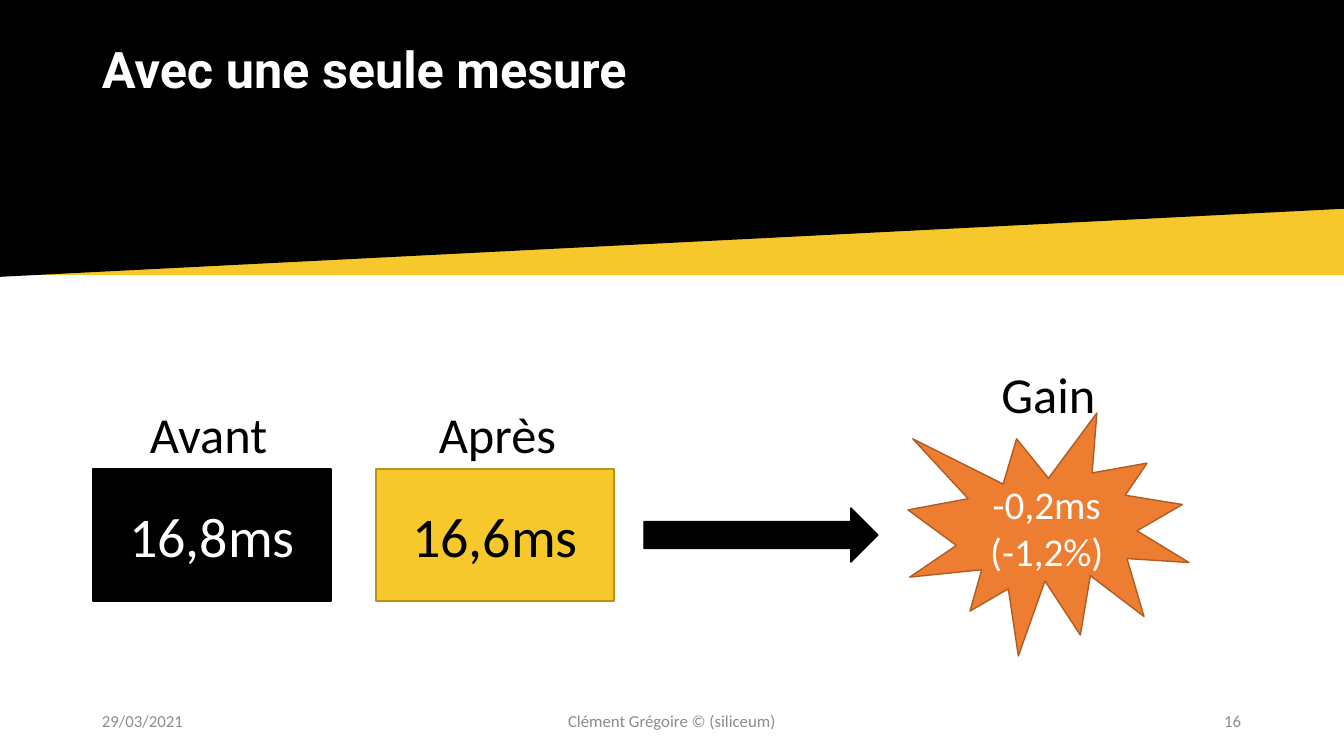
from pptx import Presentation
from pptx.dml.color import RGBColor
from pptx.enum.shapes import MSO_SHAPE
from pptx.enum.text import MSO_ANCHOR, MSO_AUTO_SIZE, PP_ALIGN
from pptx.util import Emu, Pt

RECT, ARROW, BURST = MSO_SHAPE.RECTANGLE, MSO_SHAPE.RIGHT_ARROW, MSO_SHAPE.EXPLOSION1
LEFT, CENTER, RIGHT = PP_ALIGN.LEFT, PP_ALIGN.CENTER, PP_ALIGN.RIGHT
TOP, MIDDLE = MSO_ANCHOR.TOP, MSO_ANCHOR.MIDDLE
FIT = MSO_AUTO_SIZE.SHAPE_TO_FIT_TEXT

COLORS = {
    "black": "000000",
    "white": "FFFFFF",
    "yellow": "F6C82B",
    "dark_yellow": "B79417",
    "orange": "ED7D31",
    "dark_orange": "AF5C24",
    "grey": "8C8C8C",
}
WIDTH, HEIGHT = 1344, 756
EMU_PER_PX = 12192000 / WIDTH


class Deck:
    """Holds the style and the current slide."""

    def __init__(self):
        self.prs = Presentation()
        self.prs.slide_width, self.prs.slide_height = self.px(WIDTH, HEIGHT)
        self.s = self.prs.slides.add_slide(self.prs.slide_layouts[6])

    def px(self, *lengths):
        return [Emu(round(n * EMU_PER_PX)) for n in lengths]

    def color(self, name):
        return RGBColor.from_string(COLORS[name])

    def fill_text(self, tf, text, size, color, align, anchor, font="Calibri", bold=False):
        tf.text = text
        tf.vertical_anchor = anchor
        p = tf.paragraphs[0]
        p.alignment = align
        for r in p.runs:
            r.font.name, r.font.size, r.font.bold = font, Pt(size), bold
            r.font.color.rgb = self.color(color)

    def shape(self, kind, box, fill, line=None, text="", size=40, color="white", rotation=0):
        sp = self.s.shapes.add_shape(kind, *self.px(*box))
        sp.shadow.inherit = False
        sp.rotation = rotation
        sp.fill.solid()
        sp.fill.fore_color.rgb = self.color(fill)
        if line:
            sp.line.color.rgb = self.color(line)
            sp.line.width = Pt(1)
        else:
            sp.line.fill.background()
        if text:
            sp.text_frame.word_wrap = True
            self.fill_text(sp.text_frame, text, size, color, CENTER, MIDDLE)

    def text(self, box, text, size, color, align=LEFT, anchor=MIDDLE, **style):
        tf = self.s.shapes.add_textbox(*self.px(*box)).text_frame
        tf.word_wrap = True
        self.fill_text(tf, text, size, color, align, anchor, **style)
        return tf

    def label(self, box, text):
        tf = self.text(box, text, 36, "black", CENTER, TOP)
        tf.word_wrap = False
        tf.auto_size = FIT


def main():
    deck = Deck()

    # Slanted header band and title
    deck.shape(RECT, (-33, 43, 1477, 232), "yellow")
    deck.shape(RECT, (-27, -39, 1477, 279), "black", "black", rotation=357.1)
    tf = deck.text((92, 40, 1159, 76), "Avec une seule mesure", 36, "white",
                   anchor=TOP, font="Roboto", bold=True)
    tf.paragraphs[0].line_spacing = 0.9

    # Footer
    for left, width, text, align in (
        (92, 302, "29/03/2021", LEFT),
        (445, 454, "Clément Grégoire © (siliceum)", CENTER),
        (949, 302, "16", RIGHT),
    ):
        deck.text((left, 701, width, 40), text, 12, "grey", align)

    # Before and after
    for left, fill, line, value, color in (
        (93, "black", "black", "16,8ms", "white"),
        (376, "yellow", "dark_yellow", "16,6ms", "black"),
    ):
        deck.shape(RECT, (left, 469, 238, 132), fill, line, value, color=color)
    deck.label((139, 398, 139, 72), "Avant")
    deck.label((428, 398, 139, 72), "Après")

    # Gain
    deck.shape(BURST, (908, 413, 281, 243), "orange", "dark_orange", "-0,2ms (-1,2%)", 28)
    deck.shape(ARROW, (644, 508, 234, 54), "black", "black")
    deck.label((991, 358, 115, 72), "Gain")

    deck.prs.save("out.pptx")


if __name__ == "__main__":
    main()
